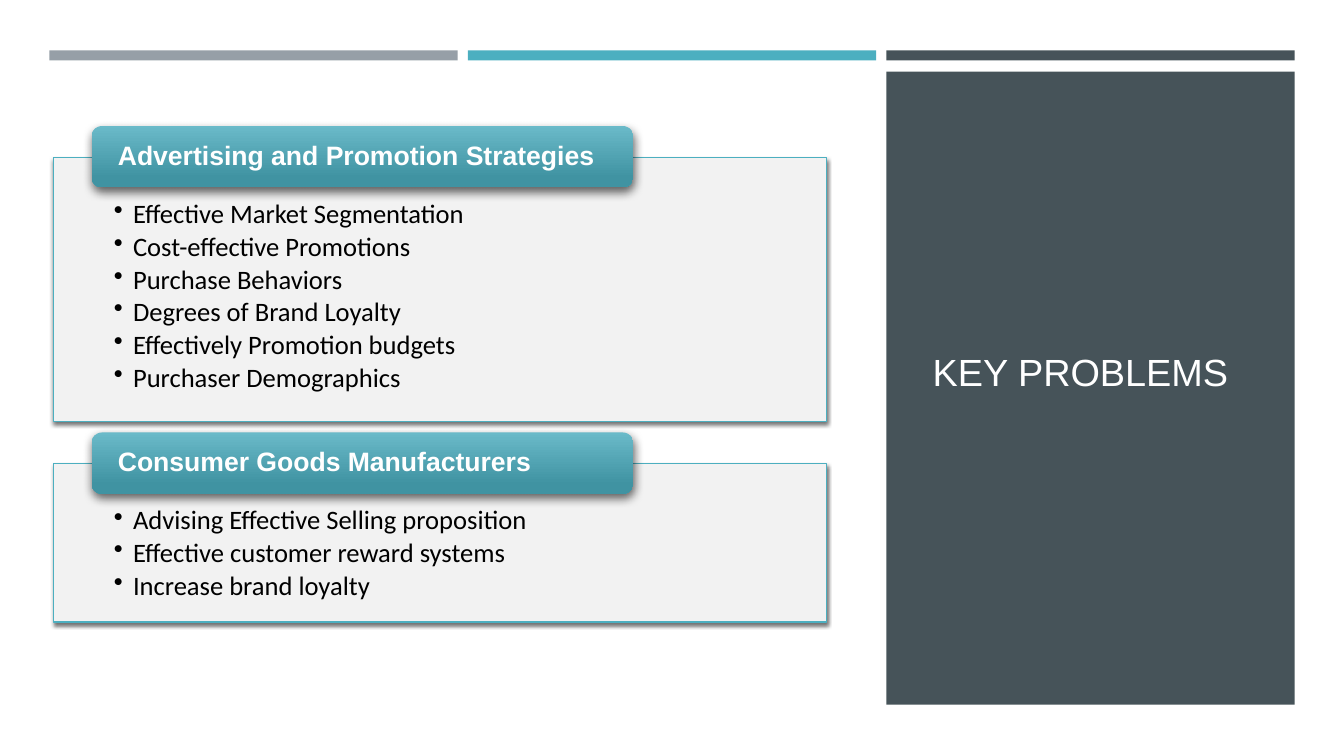
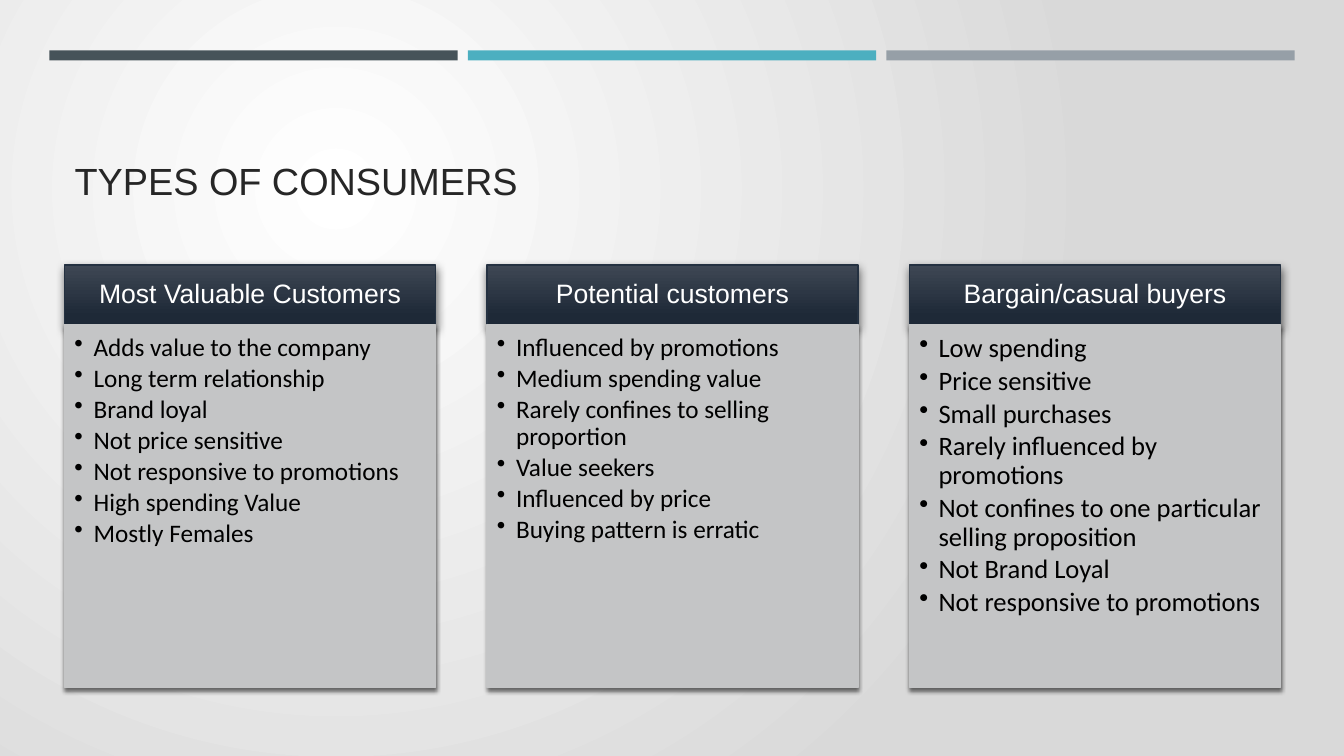
from pptx import Presentation, util as u
from pptx.dml.color import RGBColor
from pptx.enum import shapes as sh, text as tx
from pptx.oxml import parse_xml
from pptx.oxml.ns import nsdecls, qn

# Content
PROBLEMS = [
    ("Advertising and Promotion Strategies", [
        "Effective Market Segmentation", "Cost-effective Promotions",
        "Purchase Behaviors", "Degrees of Brand Loyalty",
        "Effectively Promotion budgets", "Purchaser Demographics"]),
    ("Consumer Goods Manufacturers", [
        "Advising Effective Selling proposition",
        "Effective customer reward systems", "Increase brand loyalty"]),
]
BUYERS = [  # heading, text size, points
    ("Most Valuable Customers", 18, [
        "Adds value to the company", "Long term relationship",
        "Brand loyal", "Not price sensitive",
        "Not responsive to promotions", "High spending Value",
        "Mostly Females"]),
    ("Potential customers", 18, [
        "Influenced by promotions", "Medium spending value",
        "Rarely confines to selling proportion", "Value seekers",
        "Influenced by price", "Buying pattern is erratic"]),
    ("Bargain/casual buyers", 19, [
        "Low spending", "Price sensitive", "Small purchases",
        "Rarely influenced by promotions",
        "Not confines to one particular selling proposition",
        "Not Brand Loyal", "Not responsive to promotions"]),
]

# Shared style
HUE = {"dark": "465359", "teal": "4CAFC0", "grey": "969FA7",
       "white": "FFFFFF", "black": "000000", "ink": "262626",
       "mist": "D9D9D9", "panel": "F2F2F2", "card": "C4C5C6",
       "tealtop": "6ABAC9", "tealend": "4093A2",
       "navytop": "3E4754", "navyend": "1E2937", "navy": "243141"}
HEAD, BODY = "Arial", "Calibri"
EDGE, BAND, STEP = 0.49, 4.05, 4.15   # three-column band grid
SOFT = (55, 3, 2, 90)                 # shadow: alpha, blur, distance, angle
DEEP = (60, 7, 3, 84)
LEFT, MID = tx.PP_ALIGN.LEFT, tx.PP_ALIGN.CENTER
TOP, HALF, BASE = (tx.MSO_ANCHOR.TOP, tx.MSO_ANCHOR.MIDDLE,
                   tx.MSO_ANCHOR.BOTTOM)


def rgb(name):
    return RGBColor.from_string(HUE[name])


def blend(fill, first, last, end=1):
    fill.gradient()
    for stop, name, pos in zip(fill.gradient_stops, (first, last), (0, end)):
        stop.color.rgb = rgb(name)
        stop.position = pos


def box(slide, at, fill, line=None, shade=None, kind=sh.MSO_SHAPE.RECTANGLE):
    """Draw a shape; fill is one colour name or a pair for a gradient."""
    shape = slide.shapes.add_shape(kind, *map(u.Inches, at))
    if isinstance(fill, tuple):
        blend(shape.fill, *fill, end=0.84)
        shape.fill.gradient_angle = 270
    else:
        shape.fill.solid()
        shape.fill.fore_color.rgb = rgb(fill)
    if line:
        shape.line.color.rgb = rgb(line)
        shape.line.width = u.Pt(1)
    else:
        shape.line.fill.background()
    shape.shadow.inherit = False
    if shade:
        alpha, blur, dist, turn = shade
        shape._element.spPr.find(qn("a:effectLst")).append(parse_xml(
            f'<a:outerShdw {nsdecls("a")} blurRad="{u.Pt(blur)}" '
            f'dist="{u.Pt(dist)}" dir="{turn * 60000}" rotWithShape="0">'
            f'<a:srgbClr val="{HUE["black"]}"><a:alpha val="{alpha * 1000}"/>'
            '</a:srgbClr></a:outerShdw>'))
    return shape


def write(shape, lines, size, hue, font=HEAD, inset=(0.1, 0.05, 0.1, 0.05),
          anchor=HALF, align=LEFT, bold=False, dots=False):
    frame = shape.text_frame
    frame.word_wrap, frame.auto_size = True, tx.MSO_AUTO_SIZE.NONE
    frame.vertical_anchor = anchor
    (frame.margin_left, frame.margin_top,
     frame.margin_right, frame.margin_bottom) = map(u.Inches, inset)
    frame.text = "\n".join(lines)
    for para in frame.paragraphs:
        para.alignment, para.line_spacing = align, 0.9
        para.font.name, para.font.size = font, u.Pt(size)
        para.font.bold, para.font.color.rgb = bold, rgb(hue)
        if dots:
            para.space_after = u.Pt(round(size * 0.15, 1))
            prop = para._p.get_or_add_pPr()
            prop.set("marL", str(u.Inches(0.19)))
            prop.set("indent", str(-u.Inches(0.19)))
            prop.append(parse_xml(f'<a:buChar {nsdecls("a")} char="•"/>'))


def start(deck, title, at, hues, ink, **style):
    """Add a slide with its title and the three bands."""
    slide = deck.slides.add_slide(deck.slide_layouts[5])
    head = slide.shapes.title
    head.left, head.top, head.width, head.height = map(u.Inches, at)
    write(head, [title], 27, ink, **style)
    for col, hue in enumerate(hues):
        box(slide, (EDGE + col * STEP, 0.5, BAND, 0.1), hue)
    return slide


def problems(deck):
    slide = start(deck, "KEY PROBLEMS", (EDGE + 2 * STEP, 0.71, BAND, 6.28),
                  ("grey", "teal", "dark"), "white",
                  inset=(0.46, 0.05, 0.46, 0.32))
    side = slide.shapes.title.fill
    side.solid()
    side.fore_color.rgb = rgb("dark")
    top = 1.56
    for name, points in PROBLEMS:
        high = 0.52 + 0.35 * len(points)
        panel = box(slide, (0.53, top, 7.67, high), "panel", "teal", SOFT)
        write(panel, points, 19, "black", BODY, (0.6, 0.43, 0.6, 0.15),
              TOP, dots=True)
        tab = box(slide, (0.91, top - 0.31, 5.37, 0.61),
                  ("tealtop", "tealend"), shade=DEEP,
                  kind=sh.MSO_SHAPE.ROUNDED_RECTANGLE)
        write(tab, [name], 19, "white", inset=(0.23, 0, 0.23, 0), bold=True)
        top += high + 0.42


def buyers(deck):
    slide = start(deck, "TYPES OF CONSUMERS", (0.64, 0.77, 12.06, 1.3),
                  ("dark", "teal", "grey"), "ink", anchor=BASE)
    # Radial background
    blend(slide.background.fill, "white", "mist")
    grad = slide._element.find(".//" + qn("p:bgPr")).find(qn("a:gradFill"))
    grad.replace(grad.find(qn("a:lin")), parse_xml(
        f'<a:path {nsdecls("a")} path="circle"><a:fillToRect l="50000" '
        't="50000" r="100000" b="100000"/></a:path>'))
    # Cards
    for col, (name, size, points) in enumerate(BUYERS):
        left = 0.64 + col * 4.19
        head = box(slide, (left, 2.63, 3.68, 0.6), ("navytop", "navyend"),
                   "navy", DEEP)
        write(head, [name], 19, "white", inset=(0.15, 0.08, 0.15, 0.08),
              align=MID)
        card = box(slide, (left, 3.22, 3.68, 3.6), "card", "card", SOFT)
        write(card, points, size, "black", BODY, (0.1, 0.1, 0.14, 0.16),
              TOP, dots=True)


def main():
    deck = Presentation()
    deck.slide_width, deck.slide_height = u.Inches(13.33), u.Inches(7.5)
    problems(deck)
    buyers(deck)
    deck.save("out.pptx")


if __name__ == "__main__":
    main()
